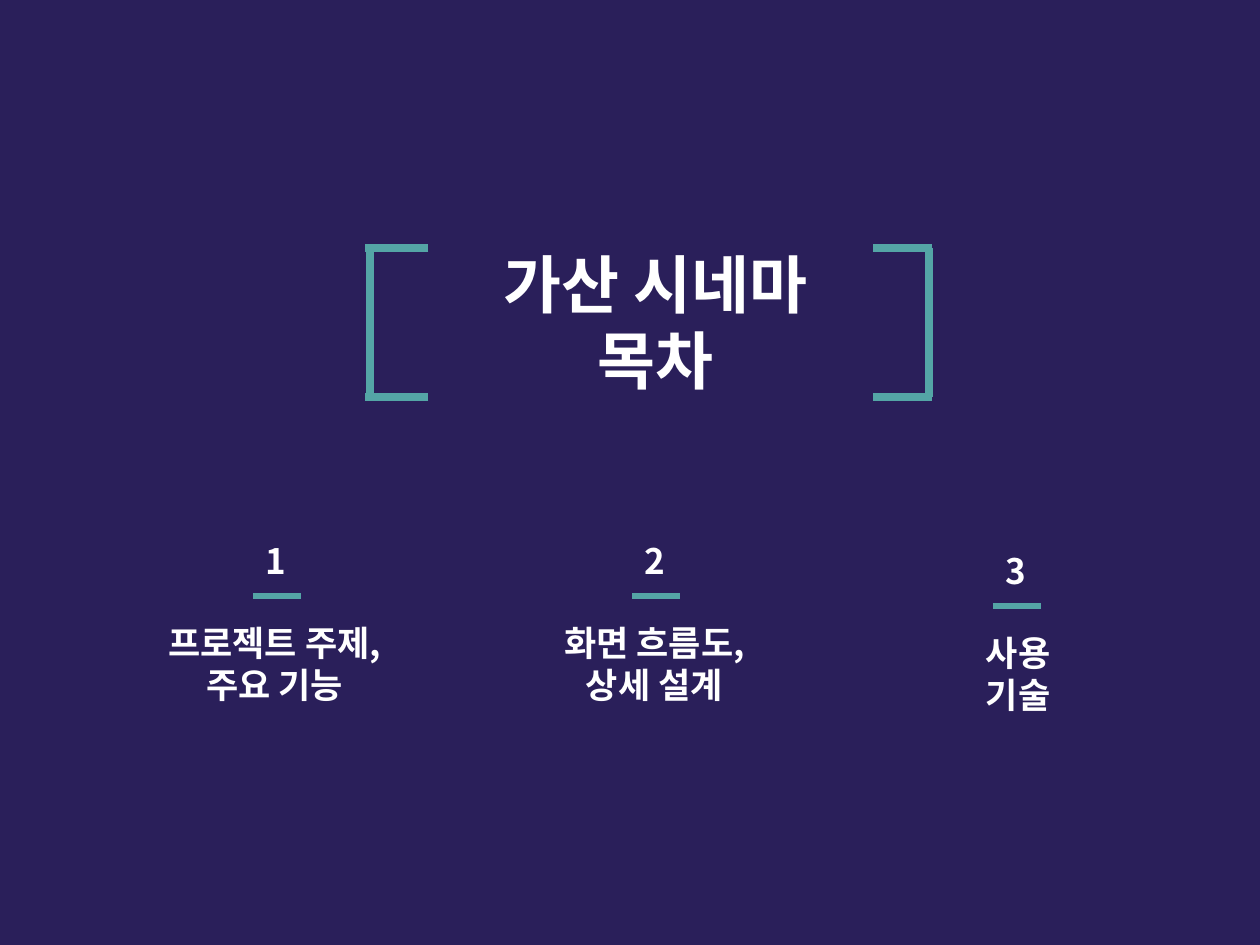
from dataclasses import dataclass

import lxml.etree
import pptx
import pptx.dml.color
import pptx.enum.shapes
import pptx.enum.text
import pptx.oxml.ns
import pptx.util

Inches = pptx.util.Inches
Pt = pptx.util.Pt
RGBColor = pptx.dml.color.RGBColor
Anchor = pptx.enum.text.MSO_ANCHOR
qn = pptx.oxml.ns.qn


@dataclass(frozen=True)
class Theme:
    background: RGBColor = RGBColor(0x2A, 0x1F, 0x5A)
    accent: RGBColor = RGBColor(0x54, 0xA5, 0xA6)
    text: RGBColor = RGBColor(0xFF, 0xFF, 0xFF)
    font: str = "Noto Sans CJK KR"
    title_size: int = 36
    item_size: int = 20
    bracket_width: float = 4.5
    rule_width: float = 3


THEME = Theme()


def add_line(shapes, start, end, width):
    line = shapes.add_connector(
        pptx.enum.shapes.MSO_CONNECTOR.STRAIGHT,
        *(Inches(value) for value in (*start, *end)),
    )
    line.line.color.rgb = THEME.accent
    line.line.width = Pt(width)
    properties = line._element.find(qn("p:spPr"))
    lxml.etree.SubElement(properties, qn("a:effectLst"))


def add_text(shapes, box, lines, size, anchor=Anchor.TOP):
    frame = shapes.add_textbox(*(Inches(value) for value in box)).text_frame
    frame.word_wrap = True
    frame.vertical_anchor = anchor
    formats = {"name": THEME.font, "size": Pt(size), "bold": True}
    for index, line in enumerate(lines):
        para = frame.add_paragraph() if index else frame.paragraphs[0]
        para.alignment = pptx.enum.text.PP_ALIGN.CENTER
        span = para.add_run()
        span.text = line
        for name, value in formats.items():
            setattr(span.font, name, value)
        span.font.color.rgb = THEME.text
        east_asian = lxml.etree.SubElement(span._r.get_or_add_rPr(), qn("a:ea"))
        east_asian.set("typeface", THEME.font)


def add_bracket(page, spine, outer, inner, top, bottom):
    for y in (top, bottom):
        add_line(page.shapes, (inner, y), (outer, y), THEME.bracket_width)
    add_line(page.shapes, (spine, top), (spine, bottom), THEME.bracket_width)


def add_title(page, box, lines):
    top, bottom = 1.97, 3.15
    add_bracket(page, 2.94, 2.9, 3.4, top, bottom)
    add_bracket(page, 7.37, 7.4, 6.93, top, bottom)
    add_text(page.shapes, box, lines, THEME.title_size, Anchor.MIDDLE)


def add_item(page, box, mark_left, number, lines):
    left, top, width = box
    height = 0.39
    shapes = page.shapes.add_group_shape().shapes
    add_text(shapes, (mark_left, top, 0.32, height), [str(number)],
             THEME.item_size, Anchor.MIDDLE)
    add_text(shapes, (left, top + 0.63, width, height), lines, THEME.item_size)
    rule_y = top + 0.48
    add_line(shapes, (mark_left, rule_y), (mark_left + 0.38, rule_y), THEME.rule_width)


def main():
    deck = pptx.Presentation()
    deck.slide_width, deck.slide_height = Inches(10), Inches(7.5)
    page = deck.slides.add_slide(deck.slide_layouts[6])
    page.background.fill.solid()
    page.background.fill.fore_color.rgb = THEME.background

    add_title(page, (3.39, 1.95, 3.62, 1.2), ["가산 시네마", "목차"])
    items = [
        ((0.59, 4.25, 3.18), 2.01, ["프로젝트 주제,", "주요 기능"]),
        ((3.71, 4.25, 2.97), 5.02, ["화면 흐름도,", "상세 설계"]),
        ((7.44, 4.33, 1.28), 7.88, ["사용 기술"]),
    ]
    for number, (box, mark_left, lines) in enumerate(items, start=1):
        add_item(page, box, mark_left, number, lines)
    deck.save("out.pptx")


if __name__ == "__main__":
    main()
